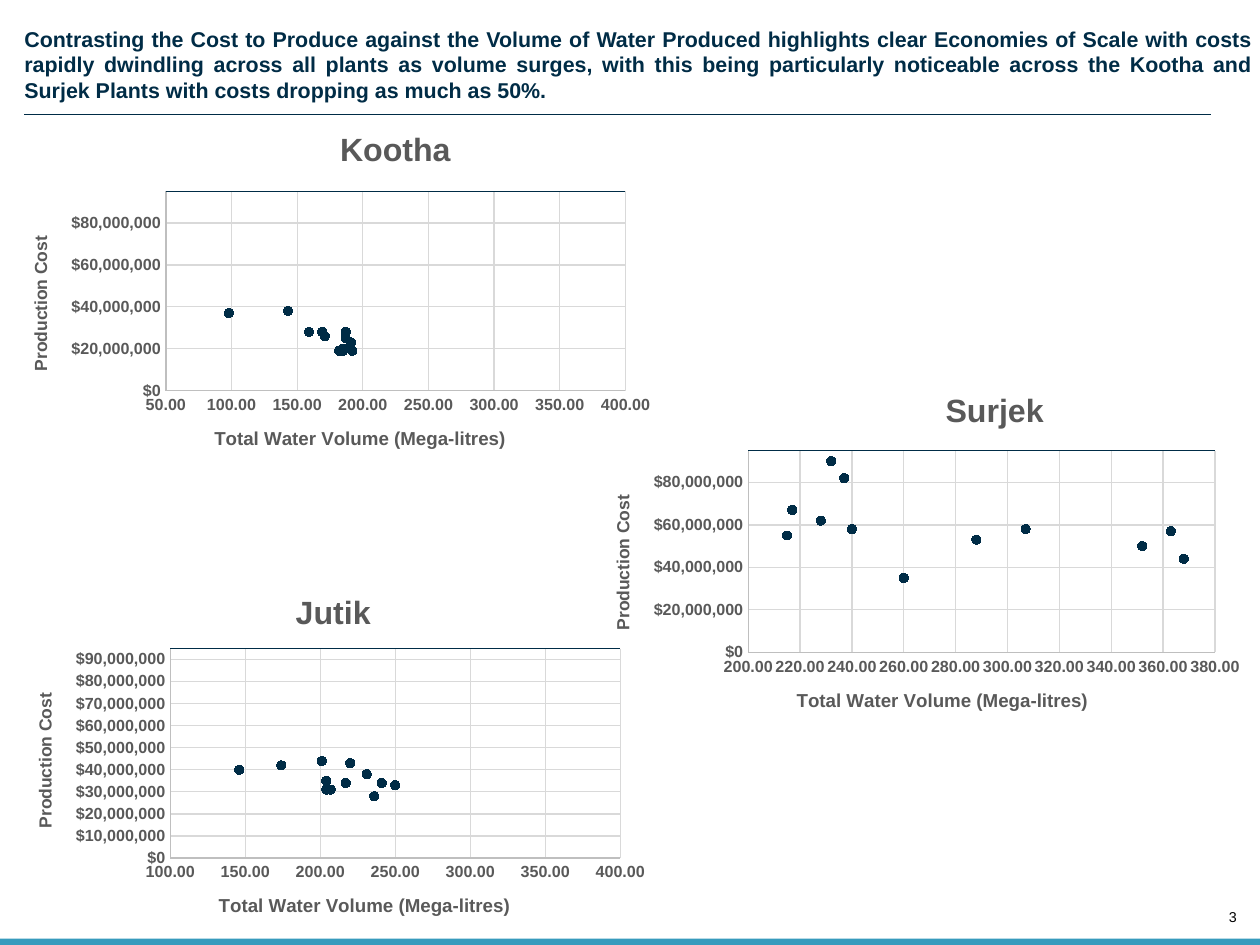
import pptx
import pptx.chart.data
import pptx.dml.color
import pptx.enum.chart
import pptx.enum.shapes
import pptx.enum.text
import pptx.oxml
import pptx.oxml.ns
import pptx.util

# Slide grid: square cells, a tenth of an inch each
COLUMNS, ROWS = 98, 73.5
NAVY, TEAL, GREY = "002C46", "379BBD", "595959"
AXIS_GREY, GRID_GREY = "BFBFBF", "D9D9D9"
FONT = "Arial"
COST_LIMIT = 95_000_000

HEADLINE = (
    "Contrasting the Cost to Produce against the Volume of Water Produced "
    "highlights clear Economies of Scale with costs rapidly dwindling across "
    "all plants as volume surges, with this being particularly noticeable "
    "across the Kootha and Surjek Plants with costs dropping as much as 50%."
)

# frame and plot: left, top, width, height in grid cells
# volume: minimum, maximum, step; points: mega-litres, million dollars
PLANTS = [
    dict(name="Kootha", frame=(0.2, 8.9, 51.4, 28.2), plot=(12.9, 14.9, 35.75, 15.5),
         title_offset=(13.1, -5.4), volume=(50, 400, 50), cost_step=20_000_000,
         points=[(182, 19), (187, 25), (185, 20), (192, 19), (98, 37), (185, 19),
                 (187, 28), (159, 28), (191, 23), (171, 26), (169, 28), (143, 38)]),
    dict(name="Surjek", frame=(45.5, 29.1, 52, 28.4), plot=(58.2, 35.05, 36.3, 15.7),
         title_offset=(14.9, -5.2), volume=(200, 380, 20), cost_step=20_000_000,
         points=[(215, 55), (228, 62), (217, 67), (237, 82), (232, 90), (240, 58),
                 (288, 53), (307, 58), (368, 44), (352, 50), (363, 57), (260, 35)]),
    dict(name="Jutik", frame=(0.6, 44.4, 50.6, 29.1), plot=(13.25, 50.45, 35, 16.3),
         title_offset=(9.3, -4.9), volume=(100, 400, 50), cost_step=10_000_000,
         points=[(250, 33), (207, 31), (201, 44), (174, 42), (204, 31), (146, 40),
                 (204, 35), (217, 34), (231, 38), (236, 28), (241, 34), (220, 43)]),
]


def cells(*counts):
    return [pptx.util.Inches(count / 10) for count in counts]


def color(hex_text):
    return pptx.dml.color.RGBColor.from_string(hex_text)


def set_font(font, size, hex_text, bold=False):
    font.name, font.size, font.bold = FONT, pptx.util.Pt(size), bold
    font.color.rgb = color(hex_text)


def set_line(line, hex_text):
    line.color.rgb = color(hex_text)
    line.width = pptx.util.Pt(0.75)


def add_rule(slide, left, top, width):
    straight = pptx.enum.shapes.MSO_CONNECTOR.STRAIGHT
    rule = slide.shapes.add_connector(straight, *cells(left, top, left + width, top))
    set_line(rule.line, NAVY)
    properties = rule._element.spPr
    properties.append(properties.makeelement(pptx.oxml.ns.qn("a:effectLst")))


def add_headline(slide):
    title = slide.shapes.title
    title.left, title.top, title.width, title.height = cells(1.9, 2, 95.6, 6.1)
    frame = title.text_frame
    frame.margin_left = frame.margin_right = frame.margin_top = frame.margin_bottom = 0
    frame.vertical_anchor = pptx.enum.text.MSO_ANCHOR.TOP
    frame.text = HEADLINE
    paragraph = frame.paragraphs[0]
    paragraph.alignment = pptx.enum.text.PP_ALIGN.JUSTIFY
    paragraph.line_spacing = 1.0
    set_font(paragraph.font, 12, NAVY, bold=True)


def add_footer(slide):
    number = slide.shapes.add_textbox(*cells(94.8, 70.7, 1.4, 1.3))
    frame = number.text_frame
    frame.margin_left = frame.margin_right = frame.margin_top = frame.margin_bottom = 0
    frame.vertical_anchor = pptx.enum.text.MSO_ANCHOR.BOTTOM
    frame.text = "3"
    frame.paragraphs[0].alignment = pptx.enum.text.PP_ALIGN.RIGHT
    set_font(frame.paragraphs[0].font, 8, "000000")

    rectangle = pptx.enum.shapes.MSO_SHAPE.RECTANGLE
    band = slide.shapes.add_shape(rectangle, *cells(0, ROWS - 0.5, COLUMNS, 0.5))
    band.shadow.inherit = False
    band.fill.solid()
    band.fill.fore_color.rgb = color(TEAL)
    band.line.fill.background()


def make_layout(frame, left, top, width=None, height=None):
    """Manual chart layout: grid cells turned into shares of the chart frame."""
    shares = {"x": (left - frame[0]) / frame[2], "y": (top - frame[1]) / frame[3]}
    target = ""
    if width:
        shares.update(w=width / frame[2], h=height / frame[3])
        target = '<c:layoutTarget val="inner"/>'
    modes = "".join(f'<c:{key}Mode val="edge"/>' for key in "xy")
    values = "".join(f'<c:{key} val="{share:.4f}"/>' for key, share in shares.items())
    return pptx.oxml.parse_xml(
        f'<c:layout {pptx.oxml.ns.nsdecls("c")}><c:manualLayout>'
        f"{target}{modes}{values}</c:manualLayout></c:layout>")


def place(element, layout, index):
    for old in element.findall(pptx.oxml.ns.qn("c:layout")):
        element.remove(old)
    element.insert(index, layout)


def write_title(title, text, size, layout):
    title.text_frame.text = text
    set_font(title.text_frame.paragraphs[0].font, size, GREY, bold=True)
    place(title._element, layout, 1)


def format_axis(axis, minimum, maximum, step, number_format):
    axis.minimum_scale, axis.maximum_scale, axis.major_unit = minimum, maximum, step
    axis.has_major_gridlines = True
    set_line(axis.major_gridlines.format.line, GRID_GREY)
    set_line(axis.format.line, AXIS_GREY)
    axis.major_tick_mark = axis.minor_tick_mark = pptx.enum.chart.XL_TICK_MARK.NONE
    axis.tick_labels.number_format = number_format
    axis.tick_labels.number_format_is_linked = False
    set_font(axis.tick_labels.font, 9, GREY, bold=True)


def add_plant_chart(slide, name, frame, plot, title_offset, volume, cost_step, points):
    data = pptx.chart.data.XyChartData()
    costs = data.add_series("Series 1")
    for megalitres, millions in points:
        costs.add_data_point(megalitres, millions * 1_000_000)
    scatter = pptx.enum.chart.XL_CHART_TYPE.XY_SCATTER
    chart = slide.shapes.add_chart(scatter, *cells(*frame), data).chart
    set_font(chart.font, 10, "000000")
    chart.has_legend = False

    # Clear background, since the chart frames overlap
    chart_element = chart._chartSpace.find(pptx.oxml.ns.qn("c:chart"))
    chart_element.addnext(pptx.oxml.parse_xml(
        f'<c:spPr {pptx.oxml.ns.nsdecls("c", "a")}><a:noFill/>'
        "<a:ln><a:noFill/></a:ln></c:spPr>"))

    # Plot and markers
    left, top, width, height = plot
    plot_area = chart_element.find(pptx.oxml.ns.qn("c:plotArea"))
    place(plot_area, make_layout(frame, *plot), 0)
    chart.plots[0].vary_by_categories = False
    series = chart.plots[0].series[0]
    series.format.line.fill.background()
    series.marker.style = pptx.enum.chart.XL_MARKER_STYLE.CIRCLE
    series.marker.size = 5
    series.marker.format.fill.solid()
    series.marker.format.fill.fore_color.rgb = color(NAVY)
    set_line(series.marker.format.line, NAVY)

    # Axes and titles
    format_axis(chart.category_axis, *volume, "0.00")
    format_axis(chart.value_axis, 0, COST_LIMIT, cost_step, '"$"#,##0')
    write_title(chart.chart_title, name, 18,
                make_layout(frame, left + title_offset[0], top + title_offset[1]))
    write_title(chart.category_axis.axis_title, "Total Water Volume (Mega-litres)", 10.5,
                make_layout(frame, left + 3.5, top + height + 2.45))
    write_title(chart.value_axis.axis_title, "Production Cost", 9.8,
                make_layout(frame, left - 10.9, top + 3.2))
    add_rule(slide, left, top, width)


def main():
    presentation = pptx.Presentation()
    presentation.slide_width, presentation.slide_height = cells(COLUMNS, ROWS)
    slide = presentation.slides.add_slide(presentation.slide_layouts[5])
    add_footer(slide)
    add_headline(slide)
    add_rule(slide, 1.9, 8.9, 92.3)
    for plant in PLANTS:
        add_plant_chart(slide, **plant)
    presentation.save("out.pptx")


if __name__ == "__main__":
    main()
